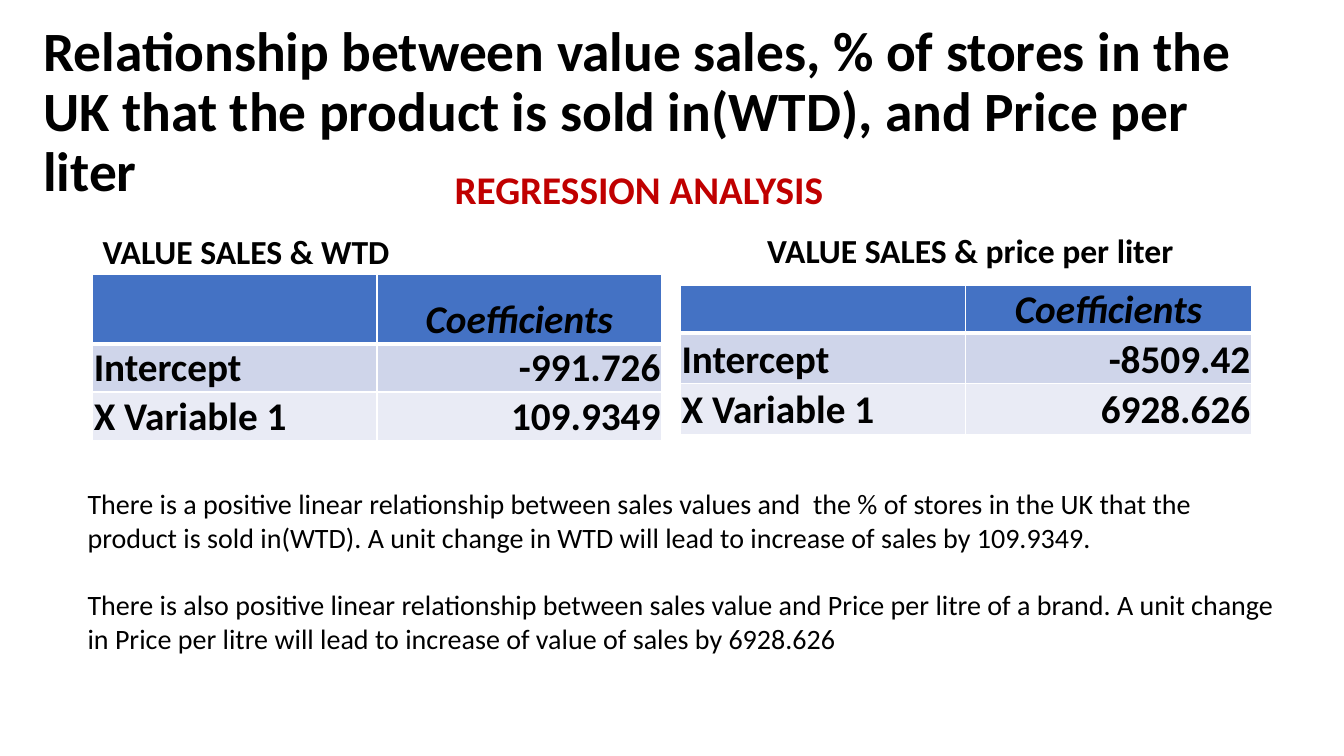
import pptx
import pptx.dml.color
import pptx.enum.text
import pptx.oxml
import pptx.oxml.ns
import pptx.util

Inches = pptx.util.Inches
Pt = pptx.util.Pt
ALIGN = pptx.enum.text.PP_ALIGN
ANCHOR = pptx.enum.text.MSO_ANCHOR

TITLE = ("Relationship between value sales, % of stores in the UK that the "
         "product is sold in(WTD), and Price per liter")
SUBTITLE = "REGRESSION ANALYSIS "
HEADINGS = [
    ("VALUE SALES & WTD", (0.92, 2.09, 5.64, 0.65)),
    ("VALUE SALES & price per liter", (7.51, 2.17, 4.91, 0.57)),
]
# left, top, column width, row heights, rows
TABLES = [
    (6.75, 2.83, 2.83, (0.47, 0.5, 0.5),
     [("", "Coefficients"), ("Intercept", "-8509.42"), ("X Variable 1", "6928.626")]),
    (0.92, 2.72, 2.82, (0.69, 0.48, 0.48),
     [("", "Coefficients"), ("Intercept", "-991.726"), ("X Variable 1", "109.9349")]),
]
FINDINGS = [
    "There is a positive linear relationship between sales values and  the % of stores "
    "in the UK that the product is sold in(WTD). A unit change in WTD will lead to "
    "increase of sales by 109.9349.",
    "There is also positive linear relationship between sales value and Price per litre "
    "of a brand. A unit change in Price per litre will lead to increase of value of "
    "sales by 6928.626",
]
ROW_FILLS = ["4472C4", "CFD5EA", "E9EBF5"]


def rgb(value):
    return pptx.dml.color.RGBColor.from_string(value)


def write(paragraph, text, size, color="000000", bold=True, italic=False, align=ALIGN.LEFT):
    paragraph.alignment = align
    run = paragraph.add_run()
    run.text = text
    font = run.font
    font.name, font.size = "Calibri", Pt(size)
    font.bold, font.italic = bold, italic
    font.color.rgb = rgb(color)


def add_text_box(box, anchor=ANCHOR.TOP):
    frame = slide.shapes.add_textbox(*map(Inches, box)).text_frame
    frame.word_wrap = True
    frame.vertical_anchor = anchor
    return frame


def add_borders(cell, row):
    """Draw white cell borders, thicker under the header row."""
    widths = {"L": 1, "R": 1, "T": 3 if row == 1 else 1, "B": 3 if row == 0 else 1}
    properties = cell._tc.get_or_add_tcPr()
    for side, width in widths.items():
        properties.append(pptx.oxml.parse_xml(
            f'<a:ln{side} {pptx.oxml.ns.nsdecls("a")} w="{Pt(width)}"><a:solidFill>'
            f'<a:srgbClr val="FFFFFF"/></a:solidFill></a:ln{side}>'))


def add_coefficients(left, top, column_width, row_heights, rows):
    table = slide.shapes.add_table(
        len(rows), 2, Inches(left), Inches(top),
        Inches(2 * column_width), Inches(sum(row_heights))).table
    for column in table.columns:
        column.width = Inches(column_width)
    for row, (height, values) in enumerate(zip(row_heights, rows)):
        table.rows[row].height = Inches(height)
        for column, value in enumerate(values):
            cell = table.cell(row, column)
            cell.margin_left = cell.margin_right = cell.margin_top = Inches(0.01)
            cell.margin_bottom = 0
            cell.vertical_anchor = ANCHOR.BOTTOM
            add_borders(cell, row)
            cell.fill.solid()
            cell.fill.fore_color.rgb = rgb(ROW_FILLS[row])
            if value:
                align = ALIGN.LEFT if column == 0 else ALIGN.CENTER if row == 0 else ALIGN.RIGHT
                write(cell.text_frame.paragraphs[0], value, 28, italic=row == 0, align=align)


presentation = pptx.Presentation()
presentation.slide_width, presentation.slide_height = Inches(13.33), Inches(7.5)
slide = presentation.slides.add_slide(presentation.slide_layouts[5])

title = slide.shapes.title
title.left, title.top, title.width, title.height = map(Inches, (0.33, 0.48, 12.09, 1.29))
title.text_frame.word_wrap = True
title.text_frame.auto_size = pptx.enum.text.MSO_AUTO_SIZE.NONE
title.text_frame.vertical_anchor = ANCHOR.MIDDLE
title_paragraph = title.text_frame.paragraphs[0]
title_paragraph.line_spacing = 0.9
write(title_paragraph, TITLE, 39.6)

for heading, box in HEADINGS:
    heading_paragraph = add_text_box(box, ANCHOR.BOTTOM).paragraphs[0]
    heading_paragraph.line_spacing = 0.9
    write(heading_paragraph, heading, 24)

for table_content in TABLES:
    add_coefficients(*table_content)

subtitle_frame = add_text_box((3.12, 1.59, 6.52, 0.57))
write(subtitle_frame.paragraphs[0], SUBTITLE, 28, color="C00000", align=ALIGN.CENTER)

findings_frame = add_text_box((0.77, 4.78, 12.09, 1.78))
for index, finding in enumerate(FINDINGS):
    paragraph = findings_frame.add_paragraph() if index else findings_frame.paragraphs[0]
    paragraph.space_before = Pt(24 if index else 0)
    write(paragraph, finding, 20, bold=False)

presentation.save("out.pptx")
